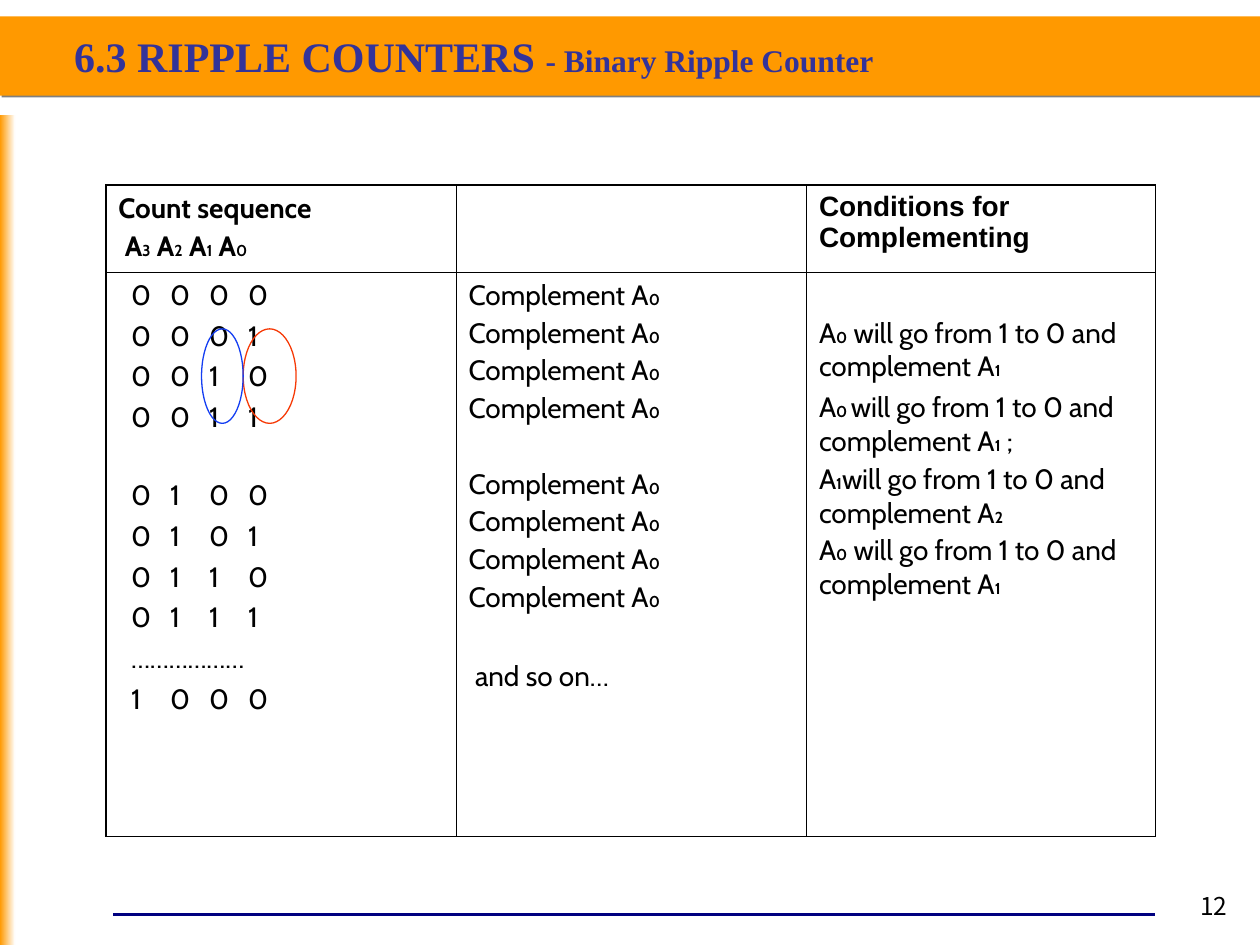
from dataclasses import dataclass

from lxml import etree
from pptx import Presentation
from pptx.dml.color import RGBColor
from pptx.enum.shapes import MSO_CONNECTOR, MSO_SHAPE
from pptx.enum.text import MSO_ANCHOR, PP_ALIGN
from pptx.oxml import parse_xml
from pptx.oxml.ns import nsdecls, qn
from pptx.util import Inches, Pt

RECTANGLE, OVAL = MSO_SHAPE.RECTANGLE, MSO_SHAPE.OVAL
STRAIGHT = MSO_CONNECTOR.STRAIGHT
MIDDLE, RIGHT = MSO_ANCHOR.MIDDLE, PP_ALIGN.RIGHT

BLACK = RGBColor(0x00, 0x00, 0x00)
WHITE = RGBColor(0xFF, 0xFF, 0xFF)
ORANGE = RGBColor(0xFF, 0x99, 0x00)
NAVY = RGBColor(0x00, 0x00, 0x80)
TITLE_BLUE = RGBColor(0x33, 0x33, 0x99)
RING_RED = RGBColor(0xF6, 0x39, 0x06)
RING_BLUE = RGBColor(0x14, 0x3E, 0xF2)

BODY_SIZE, SUBSCRIPT_SIZE = 16, 9
OUTER_BORDER, INNER_BORDER = 1.08, 0.45
DIGIT_STEP = 0.31
GAP = 25  # space before a line that follows a break, in points


@dataclass
class Line:
    """Text of one paragraph; parts between bars are small index digits."""
    text: str
    before: float = 4
    bold: bool = False
    font: str = "Cabin"
    indent: float = 0


@dataclass
class CellText:
    lines: list[Line]
    left: float = 0.1
    top: float = 0.05


@dataclass
class Ring:
    left: float
    width: float
    color: RGBColor


def counts(*values: str) -> list[Line]:
    return [Line("\t".join(value)) for value in values]


def complements(first_gap: float) -> list[Line]:
    return [Line("Complement A|0|", first_gap if i == 0 else 2.2) for i in range(4)]


COUNT_LINES = (
    counts("0000", "0001", "0010", "0011")
    + [Line("0\t1\t0\t0", GAP)]
    + counts("0101", "0110", "0111")
    + [Line("………………")]
    + counts("1000")
)
CONDITION_LINES = [
    Line("A|0| will go from 1 to 0 and complement A|1|"),
    Line("A|0 |will go from 1 to 0 and complement A|1| ;"),
    Line("A|1|will go from 1 to 0 and complement A|2|", 2.2),
    Line("A|0| will go from 1 to 0 and complement A|1|", 2.2),
]
TABLE_ROWS = [
    [
        CellText([
            Line("Count sequence", bold=True),
            Line("A|3| A|2| A|1| A|0|", 2.2, bold=True, indent=0.05),
        ]),
        CellText([]),
        CellText([Line("Conditions for Complementing", bold=True, font="Arial")]),
    ],
    [
        CellText(COUNT_LINES, left=0.2),
        CellText(complements(0) + complements(GAP - 1) + [Line("and so on…", GAP + 1, indent=0.05)]),
        CellText(CONDITION_LINES, top=0.35),
    ],
]
COLUMN_WIDTHS = [2.78, 2.78, 2.77]
ROW_HEIGHTS = [0.69, 4.48]
RINGS = [Ring(1.93, 0.42, RING_RED), Ring(1.6, 0.33, RING_BLUE)]


def style_font(font, name: str, size: float, color: RGBColor, bold: bool) -> None:
    font.name, font.size, font.bold = name, Pt(size), bold
    font.color.rgb = color


def add_box(slide, kind, left: float, top: float, width: float, height: float):
    shape = slide.shapes.add_shape(
        kind, Inches(left), Inches(top), Inches(width), Inches(height))
    shape.shadow.inherit = False
    return shape


def add_text(slide, left: float, top: float, width: float, height: float):
    frame = slide.shapes.add_textbox(
        Inches(left), Inches(top), Inches(width), Inches(height)).text_frame
    frame.word_wrap = True
    return frame


def write_line(paragraph, line: Line, first: bool) -> None:
    if not first:
        paragraph.space_before = Pt(line.before)
    properties = paragraph._p.get_or_add_pPr()
    properties.set("marL", str(Inches(line.indent)))
    if "\t" in line.text:
        tabs = etree.SubElement(properties, qn("a:tabLst"))
        for step in range(1, 4):
            etree.SubElement(tabs, qn("a:tab"), pos=str(Inches(DIGIT_STEP * step)), algn="l")
    style_font(paragraph.font, line.font, BODY_SIZE, BLACK, line.bold)
    for index, part in enumerate(line.text.split("|")):
        if part:
            run = paragraph.add_run()
            run.text = part
            if index % 2:
                run.font.size, run.font.bold = Pt(SUBSCRIPT_SIZE), True


def add_borders(cell, row: int, column: int) -> None:
    outer_sides = {
        "a:lnL": column == 0,
        "a:lnR": column == len(COLUMN_WIDTHS) - 1,
        "a:lnT": row == 0,
        "a:lnB": row == len(ROW_HEIGHTS) - 1,
    }
    properties = cell._tc.get_or_add_tcPr()
    for tag, outer in outer_sides.items():
        width = Pt(OUTER_BORDER if outer else INNER_BORDER)
        border = etree.SubElement(properties, qn(tag), w=str(width))
        fill = etree.SubElement(border, qn("a:solidFill"))
        etree.SubElement(fill, qn("a:srgbClr"), val=str(BLACK))


def add_count_table(slide) -> None:
    table = slide.shapes.add_table(
        len(ROW_HEIGHTS), len(COLUMN_WIDTHS), Inches(0.84), Inches(1.47),
        Inches(sum(COLUMN_WIDTHS)), Inches(sum(ROW_HEIGHTS))).table
    table.first_row = table.horz_banding = False
    for column, width in zip(table.columns, COLUMN_WIDTHS):
        column.width = Inches(width)
    for row_index, height in enumerate(ROW_HEIGHTS):
        table.rows[row_index].height = Inches(height)
        for column_index, content in enumerate(TABLE_ROWS[row_index]):
            cell = table.cell(row_index, column_index)
            add_borders(cell, row_index, column_index)
            cell.fill.background()
            cell.margin_left, cell.margin_top = Inches(content.left), Inches(content.top)
            frame = cell.text_frame
            for index, line in enumerate(content.lines):
                paragraph = frame.add_paragraph() if index else frame.paragraphs[0]
                write_line(paragraph, line, index == 0)


def add_background(slide) -> None:
    # Footer rule
    rule = slide.shapes.add_connector(
        STRAIGHT, Inches(0.9), Inches(7.26), Inches(9.17), Inches(7.26))
    rule.line.color.rgb, rule.line.width = NAVY, Pt(1.5)
    etree.SubElement(rule._element.spPr, qn("a:effectLst"))

    # Title band with a hard shadow
    band = add_box(slide, RECTANGLE, 0, 0.13, 10, 0.63)
    band.fill.solid()
    band.fill.fore_color.rgb = ORANGE
    band.line.fill.background()
    band._element.spPr.find(qn("a:effectLst")).append(parse_xml(
        f'<a:outerShdw {nsdecls("a")} dist="{Pt(1.4)}" dir="2700000">'
        '<a:srgbClr val="808080"/></a:outerShdw>'))

    # Left edge fading to white
    edge = add_box(slide, RECTANGLE, 0, 0.91, 0.12, 6.59)
    edge.fill.gradient()
    edge.fill.gradient_angle = 0
    for stop, color in zip(edge.fill.gradient_stops, (ORANGE, WHITE)):
        stop.color.rgb = color
    edge.line.fill.background()


def main() -> None:
    presentation = Presentation()
    presentation.slide_width, presentation.slide_height = Inches(10), Inches(7.5)
    slide = presentation.slides.add_slide(presentation.slide_layouts[6])
    add_background(slide)

    # Slide number
    number = add_text(slide, 9.28, 7.02, 0.56, 0.37).paragraphs[0]
    number.text, number.alignment = "12", RIGHT
    style_font(number.font, "Noto Sans CJK KR", 14, BLACK, False)

    add_count_table(slide)

    # Rings around the changing bits
    for ring in RINGS:
        oval = add_box(slide, OVAL, ring.left, 2.61, ring.width, 0.75)
        oval.fill.background()
        oval.line.color.rgb, oval.line.width = ring.color, Pt(0.75)

    # Title
    frame = add_text(slide, 0.49, 0.21, 9, 0.46)
    frame.vertical_anchor = MIDDLE
    title = frame.paragraphs[0]
    style_font(title.font, "Times New Roman", 24, TITLE_BLUE, True)
    title.add_run().text = "6.3 RIPPLE COUNTERS "
    subtitle = title.add_run()
    subtitle.text, subtitle.font.size = "- Binary Ripple Counter", Pt(18)

    presentation.save("out.pptx")


if __name__ == "__main__":
    main()
